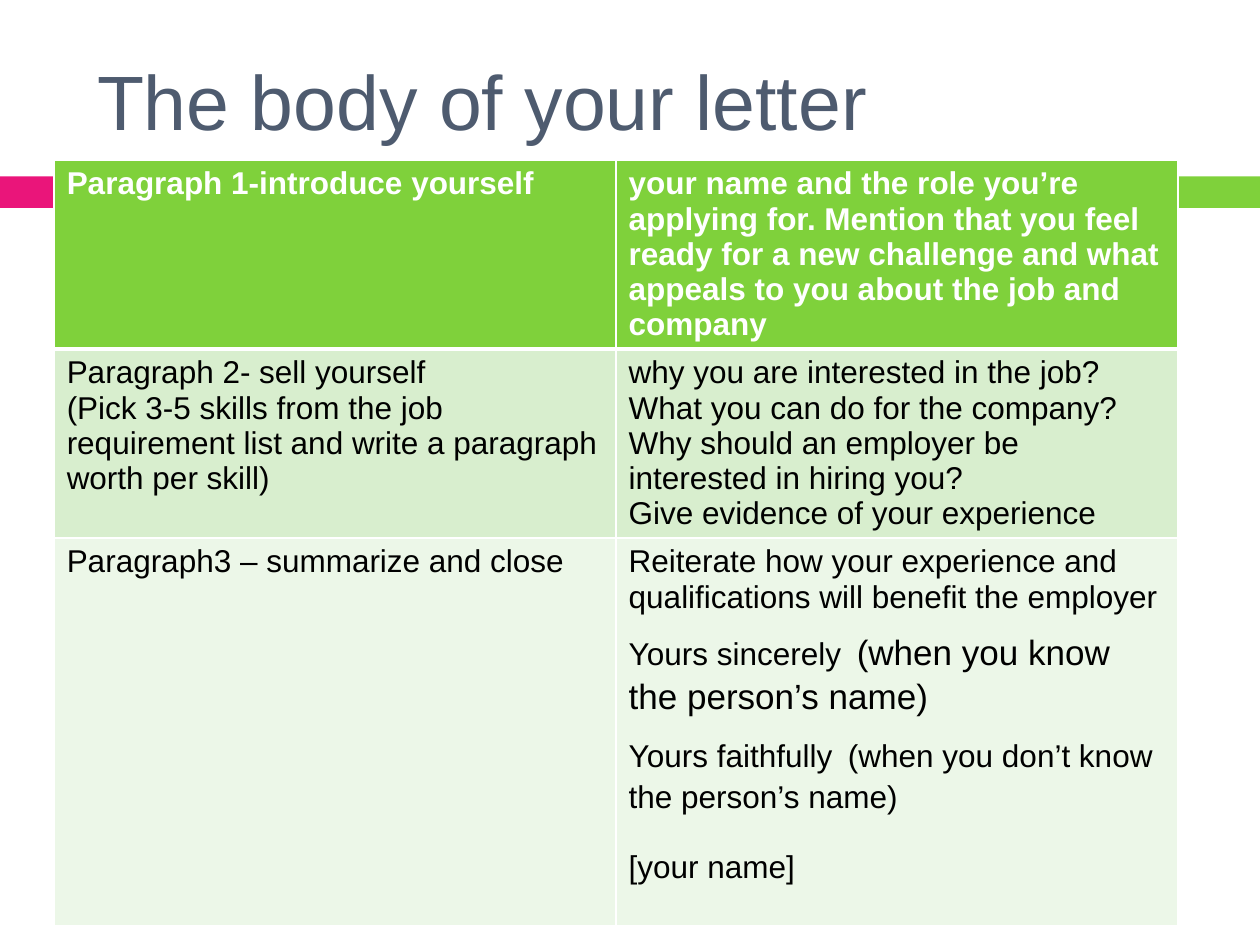
"""Build the slide on the body of a cover letter."""
from lxml import etree
from pptx import Presentation
from pptx import util as u
from pptx.dml.color import RGBColor
from pptx.enum import shapes, text
from pptx.oxml.ns import qn

PINK = RGBColor(0xEA, 0x15, 0x7A)
GREEN = RGBColor(0x7F, 0xD1, 0x3B)
MINT = RGBColor(0xD8, 0xEE, 0xCE)
PALE = RGBColor(0xEC, 0xF7, 0xE8)
SLATE = RGBColor(0x4E, 0x5B, 0x6F)
WHITE = RGBColor(0xFF, 0xFF, 0xFF)
BLACK = RGBColor(0, 0, 0)


def write(par, words, size=18, color=BLACK, bold=False):
    run = par.add_run()
    run.text = words
    font = run.font
    font.name, font.size, font.bold = "Arial", u.Pt(size), bold
    font.color.rgb = color


def edge(cell, side, width):
    line = etree.SubElement(cell._tc.get_or_add_tcPr(), qn("a:ln" + side), w=str(u.Pt(width)))
    fill = etree.SubElement(line, qn("a:solidFill"))
    etree.SubElement(fill, qn("a:srgbClr"), val=str(WHITE))


deck = Presentation()
deck.slide_width, deck.slide_height = u.Inches(10), u.Inches(7.5)
slide = deck.slides.add_slide(deck.slide_layouts[5])

for left, width, color in [(0, 0.58, PINK), (0.65, 9.35, GREEN)]:
    bar = slide.shapes.add_shape(
        shapes.MSO_SHAPE.RECTANGLE, u.Inches(left), u.Inches(1.4), u.Inches(width), u.Inches(0.25))
    bar.shadow.inherit = False
    bar.fill.solid()
    bar.fill.fore_color.rgb = color
    bar.line.fill.background()

title = slide.shapes.title
title.left, title.top = u.Inches(0.67), u.Inches(0.25)
title.width, title.height = u.Inches(8.92), u.Inches(1.08)
title.text_frame.vertical_anchor = text.MSO_ANCHOR.MIDDLE
head = title.text_frame.paragraphs[0]
head.alignment = text.PP_ALIGN.LEFT
write(head, "The body of your letter", size=44, color=SLATE)

rows = [
    (1.5, GREEN, [
        ["Paragraph 1-introduce yourself"],
        ["your name and the role you’re applying for. Mention that you feel ready for a new "
         "challenge and what appeals to you about the job and company"]]),
    (1.5, MINT, [
        ["Paragraph 2- sell yourself",
         "(Pick 3-5 skills from the job requirement list and write a paragraph worth per skill)"],
        ["why you are interested in the job?",
         "What you can do for the company?",
         "Why should an employer be interested in hiring you?",
         "Give evidence of your experience"]]),
    (3.08, PALE, [
        ["Paragraph3 – summarize and close"],
        ["Reiterate how your experience and qualifications will benefit the employer",
         [("Yours sincerely", 18), (" ", 32), ("(when you know the person’s name)", 20)],
         [("Yours faithfully", 18), (" ", 32), ("(when you don’t know the person’s name)", 18)],
         "[your name]"]]),
]

table = slide.shapes.add_table(
    len(rows), 2, u.Inches(0.43), u.Inches(1.27), u.Inches(8.92), u.Inches(6.08)).table
table.horz_banding = False
for r, (height, color, cells) in enumerate(rows):
    table.rows[r].height = u.Inches(height)
    for c, lines in enumerate(cells):
        cell = table.cell(r, c)
        for side in "LRTB":
            edge(cell, side, 3 if (r, side) in [(0, "B"), (1, "T")] else 1)
        cell.fill.solid()
        cell.fill.fore_color.rgb = color
        frame = cell.text_frame
        for n, line in enumerate(lines):
            par = frame.add_paragraph() if n else frame.paragraphs[0]
            parts = [(line, 18)] if isinstance(line, str) else line
            for words, size in parts:
                write(par, words, size=size, color=BLACK if r else WHITE, bold=r == 0)
par.space_before = u.Pt(20)

deck.save("out.pptx")
